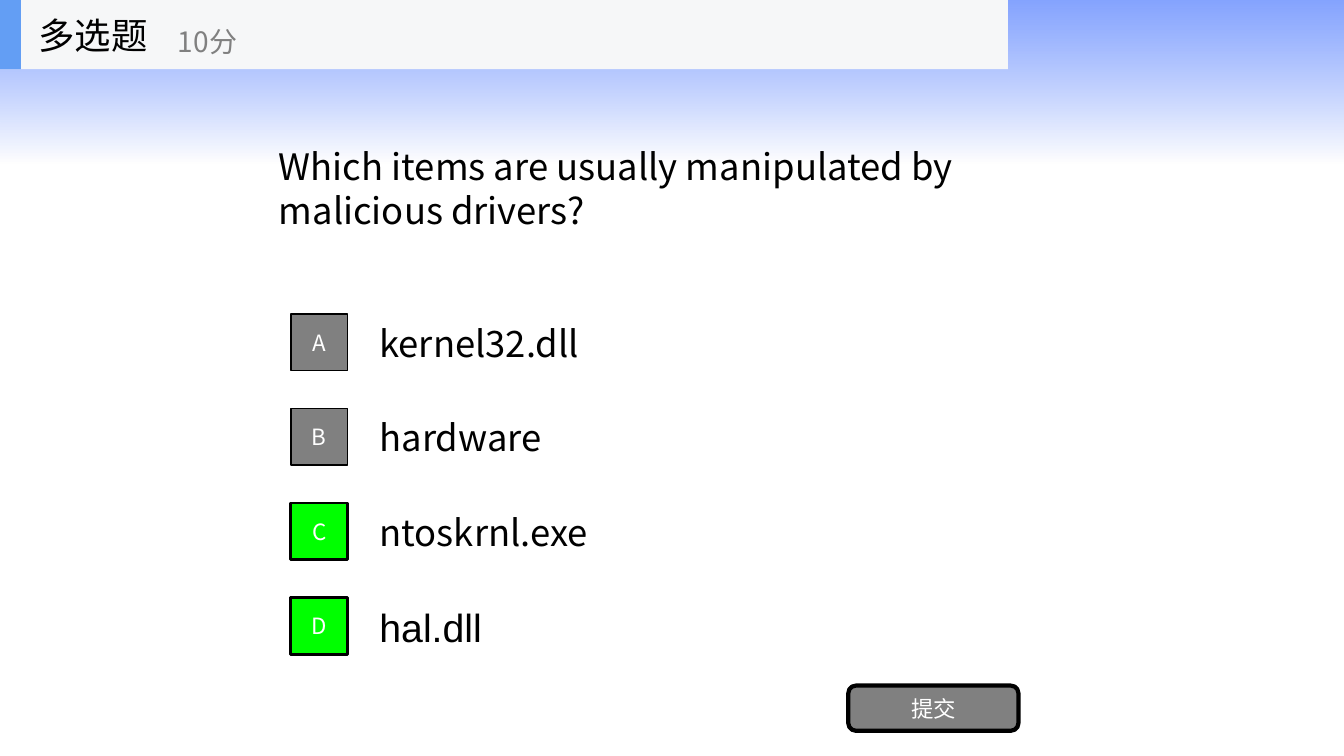
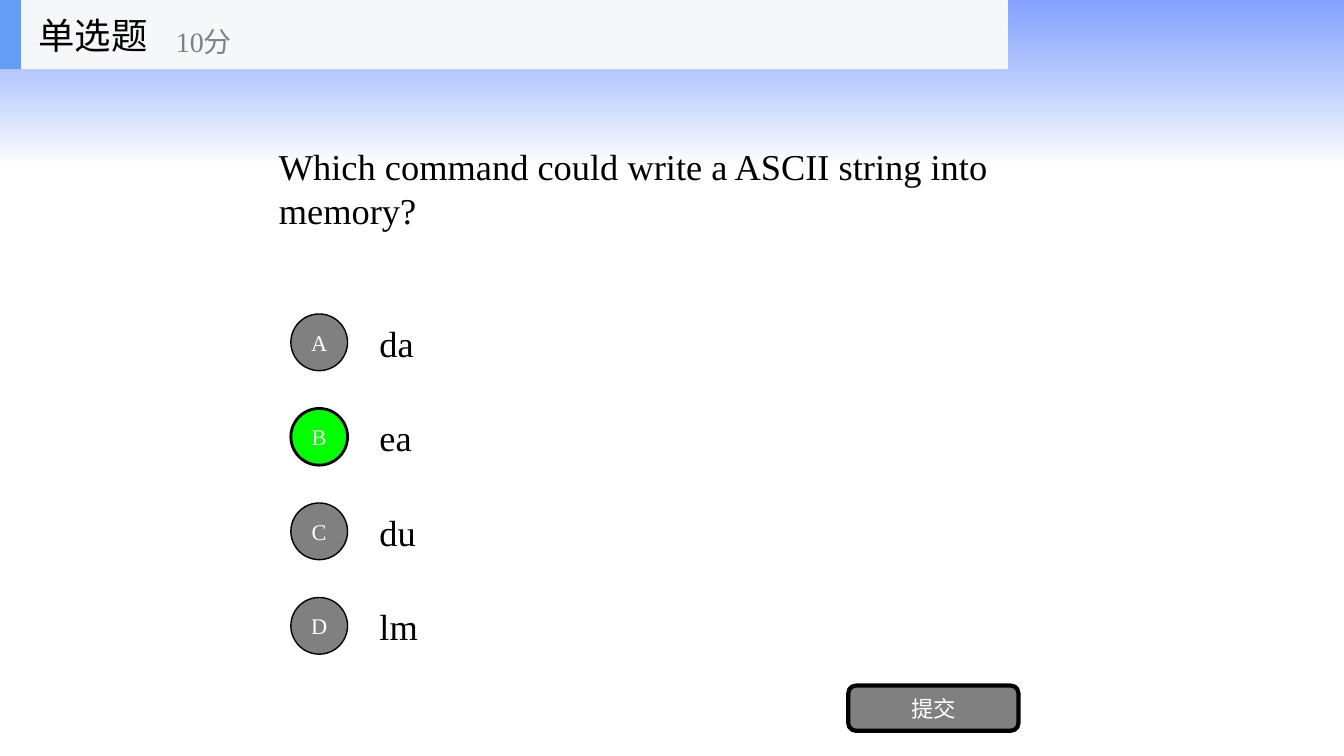
"""Build two quiz slides that share one header, option grid and submit button."""
from dataclasses import dataclass
from typing import Any

import lxml.etree
import pptx
import pptx.dml.color
import pptx.enum.shapes
import pptx.enum.text
import pptx.oxml.ns
import pptx.util

PX = 9525
COLORS = {
    "band": "3366FF",
    "white": "FFFFFF",
    "black": "000000",
    "gray": "808080",
    "correct": "00FF00",
    "header": "F6F7F8",
    "accent": "639EF4",
}
CJK_FONT = "Noto Sans CJK SC"
SERIF_FONT = "Times New Roman"
SHAPES = pptx.enum.shapes.MSO_SHAPE
ALIGN = pptx.enum.text.PP_ALIGN
OPTION_TOP = 293
OPTION_PITCH = 90
MARKER_SIZE = 54


@dataclass(frozen=True)
class Box:
    """Place and size in px."""

    left: int
    top: int
    width: int
    height: int

    def emu(self) -> tuple[int, int, int, int]:
        """Return the four lengths in EMU."""
        return self.left * PX, self.top * PX, self.width * PX, self.height * PX


@dataclass(frozen=True)
class Style:
    """Look of one run of text."""

    font: str
    size: int
    color: str = "black"


@dataclass(frozen=True)
class Option:
    """One answer of a question."""

    text: str
    correct: bool = False
    style: Style | None = None


@dataclass(frozen=True)
class Question:
    """Content and look of one quiz slide."""

    label: str
    prompt: str
    options: tuple[Option, ...]
    font: str
    marker: Any
    points_left: int


QUESTIONS = (
    Question(
        "多选题",
        "Which items are usually manipulated by malicious drivers?",
        (
            Option("kernel32.dll"),
            Option("hardware"),
            Option("ntoskrnl.exe", True),
            Option("hal.dll", True, Style("Arial", 28)),
        ),
        CJK_FONT,
        SHAPES.RECTANGLE,
        160,
    ),
    Question(
        "单选题",
        "Which command could write a ASCII string into memory?",
        (Option("da"), Option("ea", True), Option("du"), Option("lm")),
        SERIF_FONT,
        SHAPES.OVAL,
        158,
    ),
)


def rgb(name: str) -> pptx.dml.color.RGBColor:
    """Look up a colour by name."""
    return pptx.dml.color.RGBColor.from_string(COLORS[name])


def write(shape: Any, text: str, style: Style, align: Any = ALIGN.LEFT) -> Any:
    """Write one vertically centred paragraph and return it."""
    frame = shape.text_frame
    frame.word_wrap = True
    frame.auto_size = pptx.enum.text.MSO_AUTO_SIZE.NONE
    frame.vertical_anchor = pptx.enum.text.MSO_ANCHOR.MIDDLE
    para = frame.paragraphs[0]
    para.alignment = align
    span = para.add_run()
    span.text = text
    span.font.name = style.font
    span.font.size = pptx.util.Pt(style.size)
    span.font.color.rgb = rgb(style.color)
    east_asian = lxml.etree.Element(pptx.oxml.ns.qn("a:ea"), typeface=CJK_FONT)
    span.font._element.find(pptx.oxml.ns.qn("a:latin")).addnext(east_asian)
    return para


def add_text(shapes: Any, box: Box, text: str, style: Style) -> None:
    """Add a text box."""
    write(shapes.add_textbox(*box.emu()), text, style)


def add_block(shapes: Any, kind: Any, box: Box, fill: str, line: int = 0) -> Any:
    """Add a filled shape, outlined in black when a line width is given."""
    block = shapes.add_shape(kind, *box.emu())
    block.shadow.inherit = False
    block.fill.solid()
    block.fill.fore_color.rgb = rgb(fill)
    if line:
        block.line.color.rgb = rgb("black")
        block.line.width = pptx.util.Pt(line)
    else:
        block.line.fill.background()
    return block


def add_master_band(deck: Any, page: Any) -> None:
    """Put the fading band behind everything on the slide master."""
    band = add_block(page.shapes, SHAPES.RECTANGLE, Box(0, 0, 1280, 156), "band")
    band.fill.gradient()
    band.fill.gradient_angle = 270
    stops = zip(band.fill.gradient_stops, ("band", "white"), (0, 1), (60, 70))
    for stop, color, position, opacity in stops:
        stop.color.rgb = rgb(color)
        stop.position = position
        tint = stop._element.find(pptx.oxml.ns.qn("a:srgbClr"))
        lxml.etree.SubElement(tint, pptx.oxml.ns.qn("a:alpha"), val=str(opacity * 1000))
    deck.slide_master.shapes.element.insert(2, band._element)


def add_header(page: Any, question: Question) -> None:
    """Add the grouped header with question type and points."""
    shapes = page.shapes.add_group_shape().shapes
    add_block(shapes, SHAPES.RECTANGLE, Box(0, 0, 960, 66), "header")
    add_block(shapes, SHAPES.RECTANGLE, Box(0, 0, 20, 66), "accent")
    add_text(shapes, Box(27, 0, 200, 66), question.label, Style(question.font, 26))
    points = Box(question.points_left, 12, 240, 54)
    add_text(shapes, points, "10分", Style(question.font, 20, "gray"))


def add_options(page: Any, question: Question) -> None:
    """Add the lettered answers, one row each."""
    for row, (letter, option) in enumerate(zip("ABCD", question.options)):
        top = OPTION_TOP + row * OPTION_PITCH
        style = option.style or Style(question.font, 26)
        add_text(page.shapes, Box(352, top, 672, 67), option.text, style)
        fill, line = ("correct", 2) if option.correct else ("gray", 1)
        place = Box(277, top + 6, MARKER_SIZE, MARKER_SIZE)
        marker = add_block(page.shapes, question.marker, place, fill, line)
        write(marker, letter, Style(question.font, 16, "white"), ALIGN.CENTER)


def fill_page(page: Any, question: Question) -> None:
    """Draw one question on a slide."""
    title = page.shapes.title
    title.left, title.top, title.width, title.height = Box(256, 66, 768, 225).emu()
    para = write(title, question.prompt, Style(question.font, 26))
    para.line_spacing = pptx.util.Pt(31.5)
    add_options(page, question)
    place = Box(808, 653, 162, 43)
    button = add_block(page.shapes, SHAPES.ROUNDED_RECTANGLE, place, "gray", 3)
    write(button, "提交", Style(question.font, 16, "white"), ALIGN.CENTER)
    add_header(page, question)


def main() -> None:
    """Build and save the deck."""
    deck = pptx.Presentation()
    deck.slide_width, deck.slide_height = 1280 * PX, 720 * PX
    pages = [deck.slides.add_slide(deck.slide_layouts[5]) for _ in QUESTIONS]
    add_master_band(deck, pages[0])
    for page, question in zip(pages, QUESTIONS):
        fill_page(page, question)
    deck.save("out.pptx")


if __name__ == "__main__":
    main()
